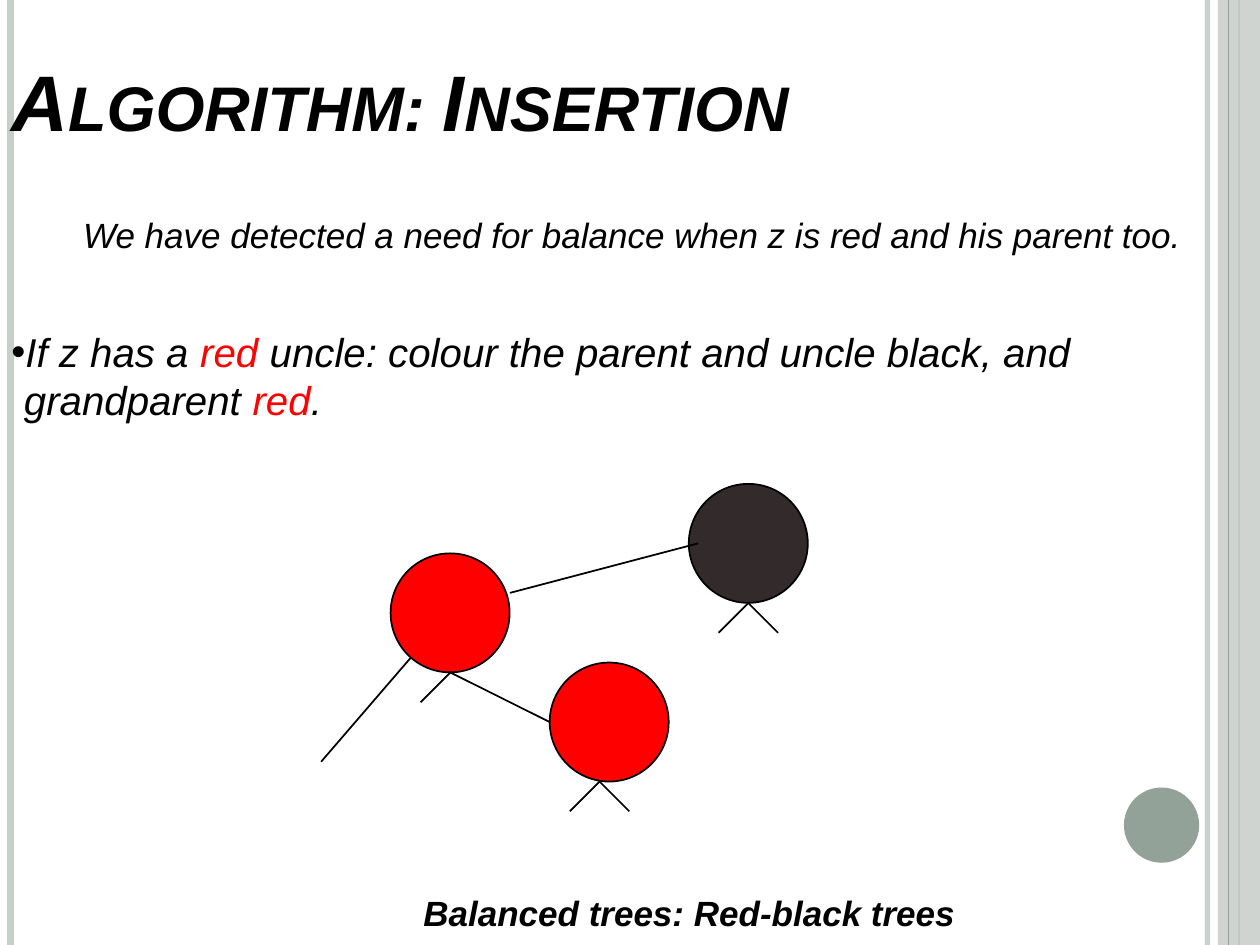
from lxml import etree
from pptx import Presentation
from pptx import util as u
from pptx.dml.color import RGBColor
from pptx.enum import shapes, text
from pptx.oxml import ns

BLACK = RGBColor(0x00, 0x00, 0x00)
RED = RGBColor(0xFF, 0x00, 0x00)
CHARCOAL = RGBColor(0x33, 0x2B, 0x2B)
SAGE = RGBColor(0x93, 0xA2, 0x99)
PALE_SAGE = RGBColor(0xC8, 0xCE, 0xCA)

SLIDE_WIDTH, SLIDE_HEIGHT = 720, 540
NODE_SIZE = 68
STUB = 17


def add_alpha(color_parent, percent):
    color = color_parent.find(".//" + ns.qn("a:srgbClr"))
    etree.SubElement(color, ns.qn("a:alpha"), val=str(percent * 1000))


class SlideBuilder:
    font = "Arial"
    ink = BLACK
    stroke = 1

    def __init__(self, page):
        self.page = page

    def shape(self, kind, left, top, width, height, fill, outline=None, alpha=None):
        shape = self.page.shapes.add_shape(
            kind, u.Pt(left), u.Pt(top), u.Pt(width), u.Pt(height))
        shape.shadow.inherit = False
        shape.fill.solid()
        shape.fill.fore_color.rgb = fill
        if alpha:
            add_alpha(shape._element.spPr.find(ns.qn("a:solidFill")), alpha)
        if outline is None:
            shape.line.fill.background()
        else:
            shape.line.color.rgb = outline
            shape.line.width = u.Pt(self.stroke)
        return shape

    def line(self, start, end, color=None, width=None, alpha=None):
        points = [u.Pt(value) for value in (*start, *end)]
        line = self.page.shapes.add_connector(shapes.MSO_CONNECTOR.STRAIGHT, *points)
        line.line.color.rgb = color or self.ink
        line.line.width = u.Pt(width or self.stroke)
        if alpha:
            add_alpha(line._element.spPr.find(ns.qn("a:ln")), alpha)
        etree.SubElement(line._element.spPr, ns.qn("a:effectLst"))
        return line

    def rule(self, x, color, width, alpha=None):
        return self.line((x, 0), (x, SLIDE_HEIGHT), color, width, alpha)

    def node(self, left, top, fill):
        return self.shape(shapes.MSO_SHAPE.OVAL, left, top, NODE_SIZE, NODE_SIZE,
                          fill, self.ink)

    def stubs(self, x, y, directions=(-1, 1)):
        for direction in directions:
            self.line((x, y), (x + direction * STUB, y + STUB))

    def text_box(self, left, top, width, height, inset_top=0,
                 anchor=text.MSO_ANCHOR.TOP):
        box = self.page.shapes.add_textbox(
            u.Pt(left), u.Pt(top), u.Pt(width), u.Pt(height))
        frame = box.text_frame
        frame.word_wrap = True
        frame.vertical_anchor = anchor
        frame.margin_left = frame.margin_right = frame.margin_bottom = 0
        frame.margin_top = u.Pt(inset_top)
        return frame

    def paragraph(self, para, spans, size, bold=False, margin=0, hanging=0,
                  bullet=None, small_caps=False):
        properties = para._p.get_or_add_pPr()
        properties.set("marL", str(u.Pt(margin)))
        properties.set("indent", str(-u.Pt(hanging)))
        if bullet:
            etree.SubElement(properties, ns.qn("a:buFont"), typeface=self.font)
            etree.SubElement(properties, ns.qn("a:buChar"), char=bullet)
        for words, color in spans:
            span = para.add_run()
            span.text = words
            font = span.font
            font.name = self.font
            font.size = u.Pt(size)
            font.bold = bold
            font.italic = True
            font.color.rgb = color
            if small_caps:
                span._r.get_or_add_rPr().set("cap", "small")
        return para


def add_frame(slide):
    slide.rule(690, PALE_SAGE, 3, alpha=93)
    slide.rule(6, PALE_SAGE, 4.5)
    slide.rule(708, SAGE, 1.5)
    slide.shape(shapes.MSO_SHAPE.RECTANGLE, 696, 0, SLIDE_WIDTH - 696, SLIDE_HEIGHT,
                PALE_SAGE, alpha=87)
    slide.rule(702, SAGE, 0.75)
    slide.shape(shapes.MSO_SHAPE.OVAL, 642.25, 450, 43, 43, SAGE)


def add_tree(slide):
    slide.line((257, 350), (183.5, 435.3))
    slide.node(223.2, 316.2, RED)
    slide.node(314.1, 378.6, RED)
    slide.node(393.6, 276.5, CHARCOAL)
    slide.line((257.4, 384.3), (314.1, 412.6))
    slide.line((399, 310.5), (291.4, 338.8))
    slide.stubs(257.4, 384.3, directions=(-1,))
    slide.stubs(342.6, 446.6)
    slide.stubs(427.6, 344.6)


def add_words(slide):
    title = slide.text_box(6.5, 28, 570, 56.2, anchor=text.MSO_ANCHOR.BOTTOM)
    slide.paragraph(title.paragraphs[0], [("Algorithm: Insertion", BLACK)], 45,
                    bold=True, small_caps=True)

    footer = slide.text_box(241.9, 510.5, 306, 24.5)
    para = slide.paragraph(footer.paragraphs[0],
                           [("Balanced trees: Red-black trees", BLACK)], 20, bold=True)
    para.line_spacing = u.Pt(23.1)

    body = slide.text_box(6.5, 119.5, 698, 121, inset_top=2.5)
    slide.paragraph(body.paragraphs[0], [
        ("We have detected a need for balance when z is red and his parent too.", BLACK),
    ], 20, margin=41)
    para = slide.paragraph(body.add_paragraph(), [
        ("If z has a ", BLACK),
        ("red ", RED),
        ("uncle: colour the parent and uncle black, and grandparent ", BLACK),
        ("red", RED),
        (".", BLACK),
    ], 23, margin=7.2, hanging=7.2, bullet="•")
    para.space_before = u.Pt(41)


def main():
    deck = Presentation()
    deck.slide_width = u.Pt(SLIDE_WIDTH)
    deck.slide_height = u.Pt(SLIDE_HEIGHT)
    slide = SlideBuilder(deck.slides.add_slide(deck.slide_layouts[6]))
    add_frame(slide)
    add_tree(slide)
    add_words(slide)
    deck.save("out.pptx")


if __name__ == "__main__":
    main()
